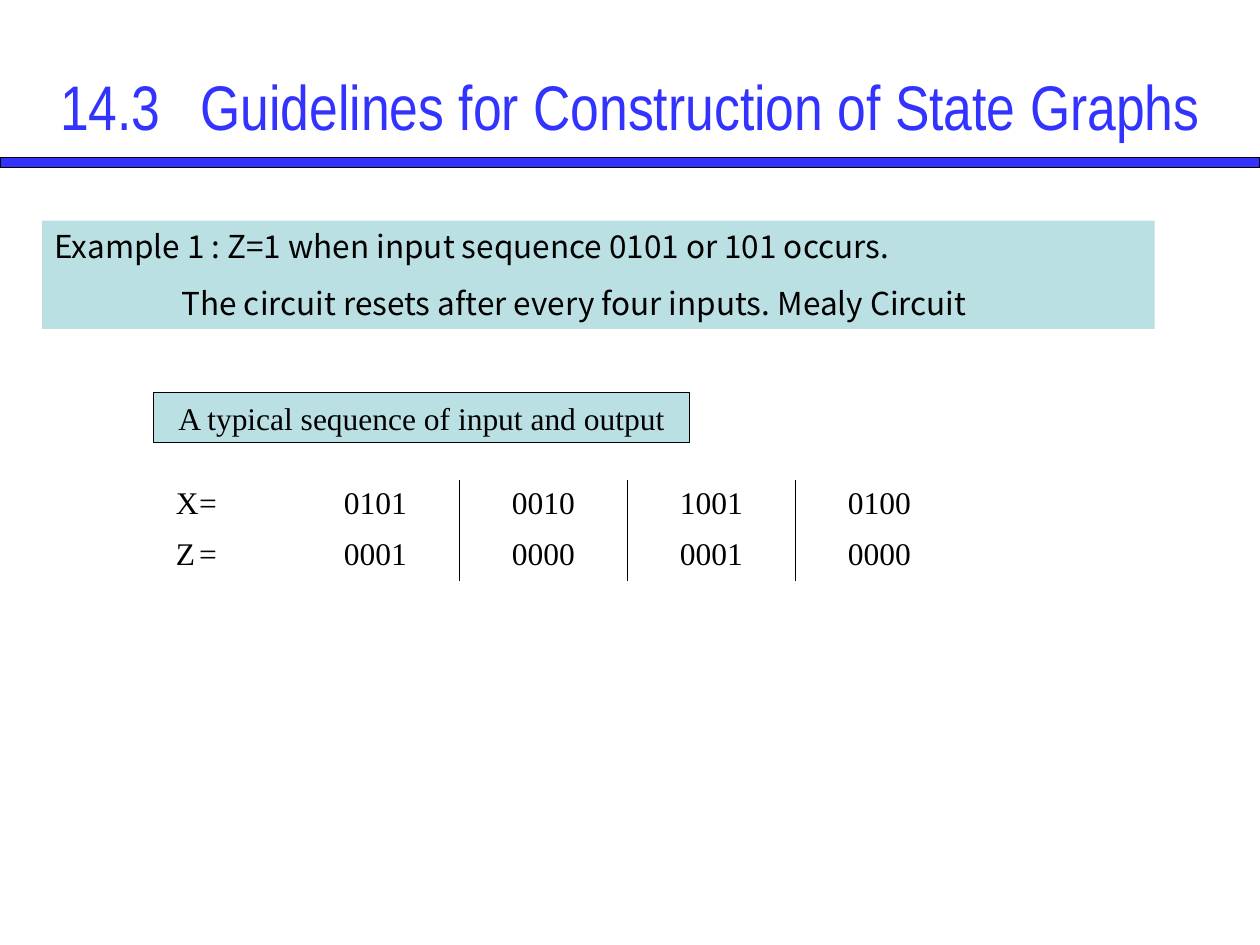
import dataclasses
from typing import Any, Optional, Sequence

import pptx
import pptx.dml.color
import pptx.enum.shapes
import pptx.enum.text
import pptx.oxml.ns
import pptx.util
from lxml import etree

Cm = pptx.util.Cm
Pt = pptx.util.Pt
Align = pptx.enum.text.PP_ALIGN
Anchor = pptx.enum.text.MSO_ANCHOR


@dataclasses.dataclass(frozen=True)
class TextStyle:
    font: str
    size: int
    color: str


@dataclasses.dataclass(frozen=True)
class Theme:
    ink: str = "000000"
    accent: str = "3333FF"
    panel: str = "BBE0E3"
    outline: float = 0.75
    divider: float = 0.45
    title: TextStyle = TextStyle("Arial Narrow", 36, "3333FF")
    example: TextStyle = TextStyle("Noto Sans CJK KR", 18, "000000")
    sequence: TextStyle = TextStyle("Times New Roman", 18, "000000")


@dataclasses.dataclass(frozen=True)
class Frame:
    left: float
    top: float
    width: float
    height: float

    def lengths(self) -> tuple:
        return Cm(self.left), Cm(self.top), Cm(self.width), Cm(self.height)


@dataclasses.dataclass(frozen=True)
class Signal:
    name: str
    groups: Sequence[str]


THEME = Theme()
SIGNALS = (
    Signal("X", ("0101", "0010", "1001", "0100")),
    Signal("Z", ("0001", "0000", "0001", "0000")),
)


def rgb(color: str) -> pptx.dml.color.RGBColor:
    return pptx.dml.color.RGBColor.from_string(color)


def write(frame: Any, text: str, style: TextStyle, align: Any = Align.LEFT) -> None:
    frame.text = text
    for para in frame.paragraphs:
        para.alignment = align
        for span in para.runs:
            span.font.name = style.font
            span.font.size = Pt(style.size)
            span.font.color.rgb = rgb(style.color)


def set_layout(para: Any, indent: float = 0, tabs: Sequence[float] = ()) -> None:
    """Set the first-line indent and the left tab stops, in centimetres."""
    properties = para._p.get_or_add_pPr()
    properties.set("marL", "0")
    properties.set("indent", str(Cm(indent)))
    if tabs:
        stops = etree.SubElement(properties, pptx.oxml.ns.qn("a:tabLst"))
        for position in tabs:
            etree.SubElement(stops, pptx.oxml.ns.qn("a:tab"), pos=str(Cm(position)), algn="l")


def add_panel(page: Any, place: Frame, fill: str, outlined: bool) -> Any:
    panel = page.shapes.add_shape(pptx.enum.shapes.MSO_SHAPE.RECTANGLE, *place.lengths())
    panel.shadow.inherit = False
    panel.fill.solid()
    panel.fill.fore_color.rgb = rgb(fill)
    if outlined:
        panel.line.color.rgb = rgb(THEME.ink)
        panel.line.width = Pt(THEME.outline)
    else:
        panel.line.fill.background()
    return panel


def set_border(cell: Any, index: int, side: str, color: Optional[str]) -> None:
    line = etree.Element(pptx.oxml.ns.qn(f"a:ln{side}"), w=str(Pt(THEME.divider)))
    if color is None:
        etree.SubElement(line, pptx.oxml.ns.qn("a:noFill"))
    else:
        fill = etree.SubElement(line, pptx.oxml.ns.qn("a:solidFill"))
        etree.SubElement(fill, pptx.oxml.ns.qn("a:srgbClr"), val=color)
    cell._tc.get_or_add_tcPr().insert(index, line)


def add_sequence_table(page: Any, place: Frame, signals: Sequence[Signal]) -> None:
    columns = len(signals[0].groups) + 1
    table = page.shapes.add_table(len(signals), columns, *place.lengths()).table
    table.first_row = False
    table.horz_banding = False
    for row, signal in enumerate(signals):
        for column, text in enumerate((f"{signal.name}\t=", *signal.groups)):
            cell = table.cell(row, column)
            cell.fill.background()
            is_label = column == 0
            write(cell.text_frame, text, THEME.sequence, Align.LEFT if is_label else Align.CENTER)
            if is_label:
                set_layout(cell.text_frame.paragraphs[0], indent=0.8, tabs=(1.75,))
            # Dividers stand only between the groups of four inputs
            ruled = {"L": column > 1, "R": 0 < column < columns - 1}
            for index, side in enumerate("LRTB"):
                set_border(cell, index, side, THEME.ink if ruled.get(side) else None)


def main() -> None:
    deck = pptx.Presentation()
    deck.slide_width, deck.slide_height = Cm(25.4), Cm(19.05)
    page = deck.slides.add_slide(deck.slide_layouts[6])

    # Title and rule
    add_panel(page, Frame(0, 3.17, 25.4, 0.21), THEME.accent, outlined=True)
    title = page.shapes.add_textbox(*Frame(0.5, 0.53, 24.4, 3.18).lengths()).text_frame
    title.word_wrap = True
    title.vertical_anchor = Anchor.MIDDLE
    write(title, "14.3\t Guidelines for Construction of State Graphs", THEME.title, Align.CENTER)
    set_layout(title.paragraphs[0], tabs=[2.54 * step for step in range(8)])

    # Example statement
    example = add_panel(page, Frame(0.85, 4.45, 22.43, 2.18), THEME.panel, outlined=False).text_frame
    example.word_wrap = True
    example.vertical_anchor = Anchor.TOP
    write(
        example,
        "Example 1 : Z=1 when input sequence 0101 or 101 occurs.\n"
        "The circuit resets after every four inputs. Mealy Circuit",
        THEME.example,
    )
    set_layout(example.paragraphs[1], indent=2.56)
    example.paragraphs[1].space_before = Pt(11.2)

    # Input and output sequences
    add_sequence_table(page, Frame(2.49, 9.68, 16.93, 2.03), SIGNALS)
    caption = add_panel(page, Frame(3.1, 7.92, 10.8, 1), THEME.panel, outlined=True).text_frame
    caption.word_wrap = False
    caption.vertical_anchor = Anchor.MIDDLE
    write(caption, "A typical sequence of input and output", THEME.sequence, Align.CENTER)

    deck.save("out.pptx")


if __name__ == "__main__":
    main()
